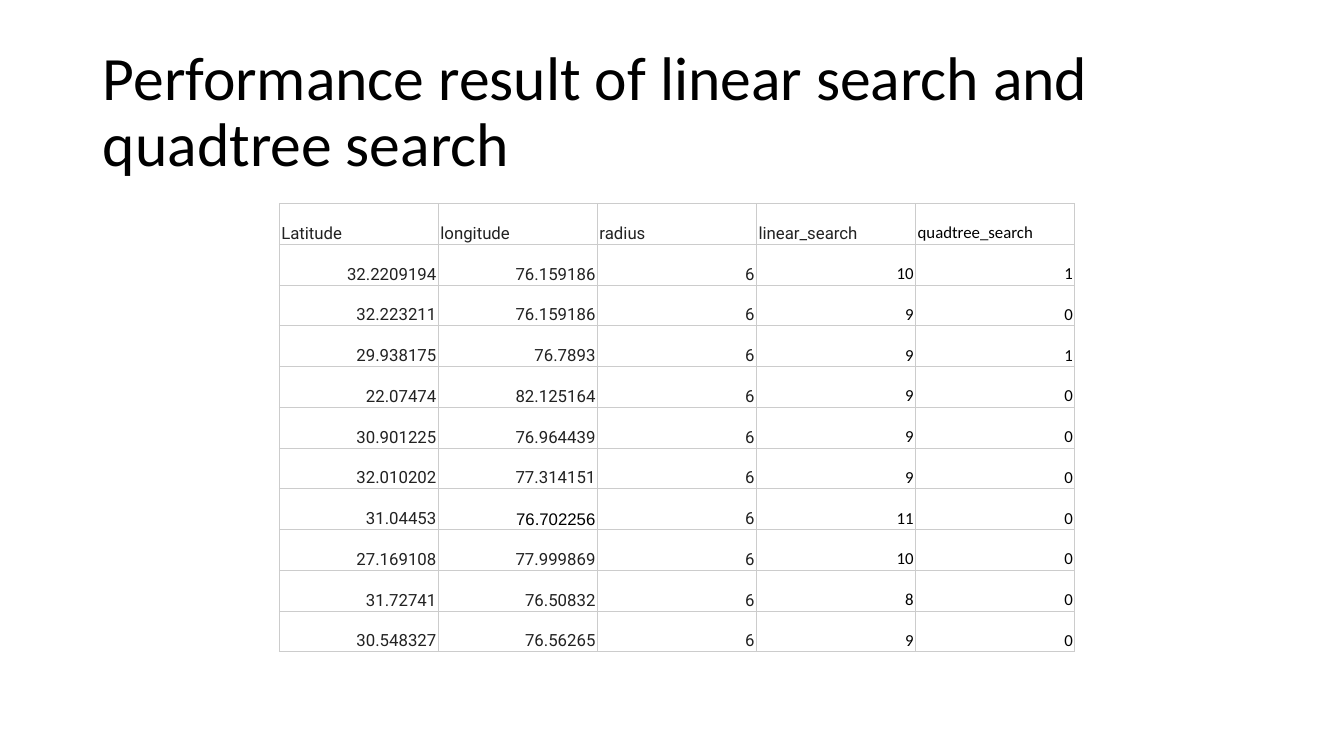
from lxml import etree
from pptx import Presentation
from pptx.dml.color import RGBColor
from pptx.enum.text import MSO_ANCHOR as Anchor, PP_ALIGN as Align
from pptx.oxml.ns import qn
from pptx.util import Inches, Pt

COLORS = {"black": "000000", "ink": "222222", "grid": "CCCCCC", "white": "FFFFFF"}

HEADINGS = ["Latitude", "longitude", "radius", "linear_search", "quadtree_search"]
RADIUS = "6"
RESULTS = [  # latitude, longitude, linear search, quadtree search
    ("32.2209194", "76.159186", "10", "1"),
    ("32.223211", "76.159186", "9", "0"),
    ("29.938175", "76.7893", "9", "1"),
    ("22.07474", "82.125164", "9", "0"),
    ("30.901225", "76.964439", "9", "0"),
    ("32.010202", "77.314151", "9", "0"),
    ("31.04453", "76.702256", "11", "0"),
    ("27.169108", "77.999869", "10", "0"),
    ("31.72741", "76.50832", "8", "0"),
    ("30.548327", "76.56265", "9", "0"),
]
ARIAL_VALUE = "76.702256"


def write(frame, text, font="Calibri", size=12, color="black", align=Align.LEFT, spacing=1.0):
    paragraph = frame.paragraphs[0]
    paragraph.alignment = align
    paragraph.line_spacing = spacing
    run = paragraph.add_run()
    run.text = text
    run.font.name = font
    run.font.size = Pt(size)
    run.font.color.rgb = RGBColor.from_string(COLORS[color])


def add_borders(cell, color="grid", width=0.75):
    properties = cell._tc.get_or_add_tcPr()
    for side in ("a:lnL", "a:lnR", "a:lnT", "a:lnB"):
        line = etree.SubElement(properties, qn(side), w=str(Pt(width)))
        fill = etree.SubElement(line, qn("a:solidFill"))
        etree.SubElement(fill, qn("a:srgbClr"), val=COLORS[color])


def place_title(slide, left, top, width, height):
    title = slide.shapes.title
    title.left, title.top = Inches(left), Inches(top)
    title.width, title.height = Inches(width), Inches(height)
    frame = title.text_frame
    frame.word_wrap = True
    frame.vertical_anchor = Anchor.MIDDLE
    write(frame, "Performance result of linear search and quadtree search",
          size=44, spacing=0.9)


def cell_style(text, row, column):
    """Headings use Roboto up to the last column, values up to the radius."""
    roboto_columns = 4 if row == 0 else 3
    if text == ARIAL_VALUE:
        font, color = "Arial", "black"
    elif column < roboto_columns:
        font, color = "Roboto", "ink"
    else:
        font, color = "Calibri", "black"
    return {"font": font, "color": color,
            "align": Align.LEFT if row == 0 else Align.RIGHT,
            "filled": column < roboto_columns}


def fill_cell(cell, text, filled, **text_format):
    cell.vertical_anchor = Anchor.BOTTOM
    cell.margin_left = cell.margin_right = Inches(0.02)
    cell.margin_top = cell.margin_bottom = Inches(0.01)
    add_borders(cell)
    if filled:
        cell.fill.solid()
        cell.fill.fore_color.rgb = RGBColor.from_string(COLORS["white"])
    else:
        cell.fill.background()
    write(cell.text_frame, text, **text_format)


def place_results(slide, left, top, width, height):
    rows = [HEADINGS] + [(latitude, longitude, RADIUS, linear, quadtree)
                         for latitude, longitude, linear, quadtree in RESULTS]
    table = slide.shapes.add_table(len(rows), len(HEADINGS), Inches(left), Inches(top),
                                   Inches(width), Inches(height)).table
    table.first_row = table.horz_banding = False
    for row, texts in enumerate(rows):
        for column, text in enumerate(texts):
            fill_cell(table.cell(row, column), text, **cell_style(text, row, column))


def main():
    deck = Presentation()
    deck.slide_width, deck.slide_height = Inches(13.33), Inches(7.5)
    slide = deck.slides.add_slide(deck.slide_layouts[5])
    place_title(slide, 0.92, 0.4, 11.5, 1.45)
    place_results(slide, 2.77, 2.02, 7.89, 4.45)
    deck.save("out.pptx")


if __name__ == "__main__":
    main()
